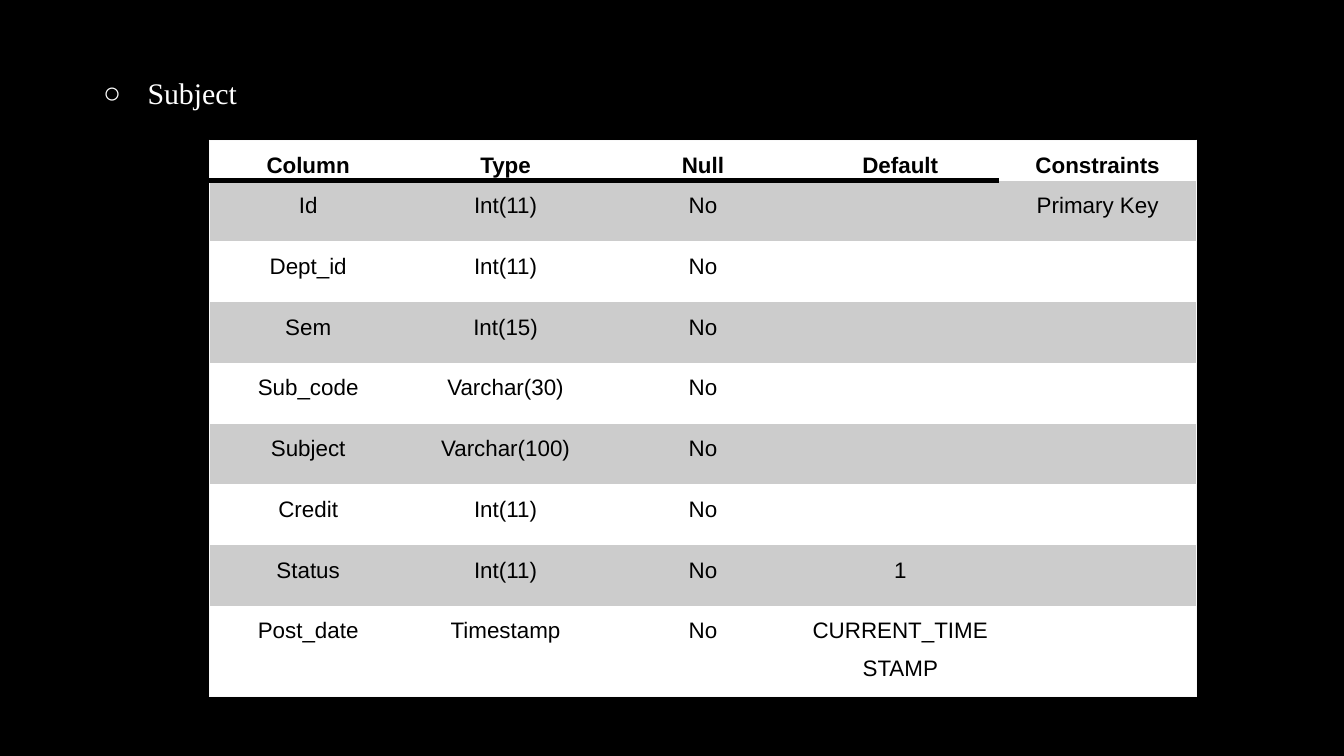
from typing import NamedTuple

from lxml import etree
from pptx import Presentation
from pptx import util as u
from pptx.dml.color import RGBColor
from pptx.enum import text
from pptx.oxml import ns

BLACK = RGBColor(0x00, 0x00, 0x00)
WHITE = RGBColor(0xFF, 0xFF, 0xFF)
BAND = RGBColor(0xCC, 0xCC, 0xCC)
EDGE = RGBColor(0xF9, 0xF9, 0xF9)
NO_STYLE = "{2D5ABB26-0587-4C30-8999-92F81FD0307C}"
COLUMN_WIDTH = u.Cm(3.73)
HEADER_HEIGHT, ROW_HEIGHT, LAST_HEIGHT = u.Cm(0.72), u.Cm(1.15), u.Cm(1.71)


class Field(NamedTuple):
    column: str
    type: str
    null: str = "No"
    default: str = ""
    constraints: str = ""


HEADER = Field("Column", "Type", "Null", "Default", "Constraints")
FIELDS = [
    Field("Id", "Int(11)", constraints="Primary Key"),
    Field("Dept_id", "Int(11)"),
    Field("Sem", "Int(15)"),
    Field("Sub_code", "Varchar(30)"),
    Field("Subject", "Varchar(100)"),
    Field("Credit", "Int(11)"),
    Field("Status", "Int(11)", default="1"),
    Field("Post_date", "Timestamp", default="CURRENT_TIMESTAMP"),
]


def add_child(parent, tag: str, **attributes: str):
    return etree.SubElement(parent, ns.qn(tag), attributes)


def add_border(cell, side: str, color: RGBColor, width: float) -> None:
    """Side is L, R, T or B; call in that order and before the fill is set."""
    properties = cell._tc.get_or_add_tcPr()
    line = add_child(properties, f"a:ln{side}", w=str(u.Pt(width)))
    add_child(add_child(line, "a:solidFill"), "a:srgbClr", val=str(color))


def add_heading(page, words: str) -> None:
    box = page.shapes.add_textbox(0, u.Cm(1.07), u.Cm(24.4), u.Cm(1.25))
    frame = box.text_frame
    frame.word_wrap = True
    frame.margin_top = frame.margin_bottom = u.Cm(0.25)
    frame.text = words
    para = frame.paragraphs[0]
    para.line_spacing = 1.15
    span = para.runs[0].font
    span.name, span.size, span.color.rgb = "Times New Roman", u.Pt(16), WHITE
    properties = para._p.get_or_add_pPr()
    properties.set("marL", str(u.Cm(2.54)))
    properties.set("indent", str(u.Cm(-0.84)))
    add_child(add_child(properties, "a:buClr"), "a:srgbClr", val=str(WHITE))
    add_child(properties, "a:buFont", typeface="Times New Roman")
    add_child(properties, "a:buChar", char="○")


def fill_cell(cell, words: str, color: RGBColor, bold: bool) -> None:
    cell.fill.solid()
    cell.fill.fore_color.rgb = color
    cell.margin_left = cell.margin_right = u.Cm(0.18)
    cell.margin_top = cell.margin_bottom = 0
    cell.text_frame.text = words
    para = cell.text_frame.paragraphs[0]
    para.alignment = text.PP_ALIGN.CENTER
    para.line_spacing = 1.5
    para.space_before = u.Pt(6)
    para.font.size = u.Pt(12)
    for span in para.runs:
        span.font.name, span.font.size = "Arial", u.Pt(12)
        span.font.bold, span.font.color.rgb = bold, BLACK


def add_field_table(page, rows: list[Field]) -> None:
    last_row, last_column = len(rows) - 1, len(HEADER) - 1
    heights = [HEADER_HEIGHT] + [ROW_HEIGHT] * (last_row - 1) + [LAST_HEIGHT]
    frame = page.shapes.add_table(len(rows), len(HEADER), u.Cm(3.96), u.Cm(2.65),
                                  COLUMN_WIDTH * len(HEADER), sum(heights))
    table = frame.table
    table.first_row = table.horz_banding = False
    table._tbl.tblPr.find(ns.qn("a:tableStyleId")).text = NO_STYLE
    for column in table.columns:
        column.width = COLUMN_WIDTH
    for r, (field, height) in enumerate(zip(rows, heights)):
        table.rows[r].height = height
        for c, words in enumerate(field):
            cell = table.cell(r, c)
            if c == 0:
                add_border(cell, "L", EDGE, 0.75)
            if c == last_column:
                add_border(cell, "R", EDGE, 0.75)
            if r == 0:
                add_border(cell, "T", EDGE, 0.75)
                if c < last_column:
                    add_border(cell, "B", BLACK, 3)
            if r == last_row:
                add_border(cell, "B", EDGE, 0.75)
            fill_cell(cell, words, BAND if r % 2 else WHITE, bold=r == 0)


def main() -> None:
    deck = Presentation()
    deck.slide_width, deck.slide_height = u.Cm(25.4), u.Cm(14.29)
    page = deck.slides.add_slide(deck.slide_layouts[6])
    page.background.fill.solid()
    page.background.fill.fore_color.rgb = BLACK
    add_heading(page, "Subject")
    add_field_table(page, [HEADER, *FIELDS])
    deck.save("out.pptx")


if __name__ == "__main__":
    main()
